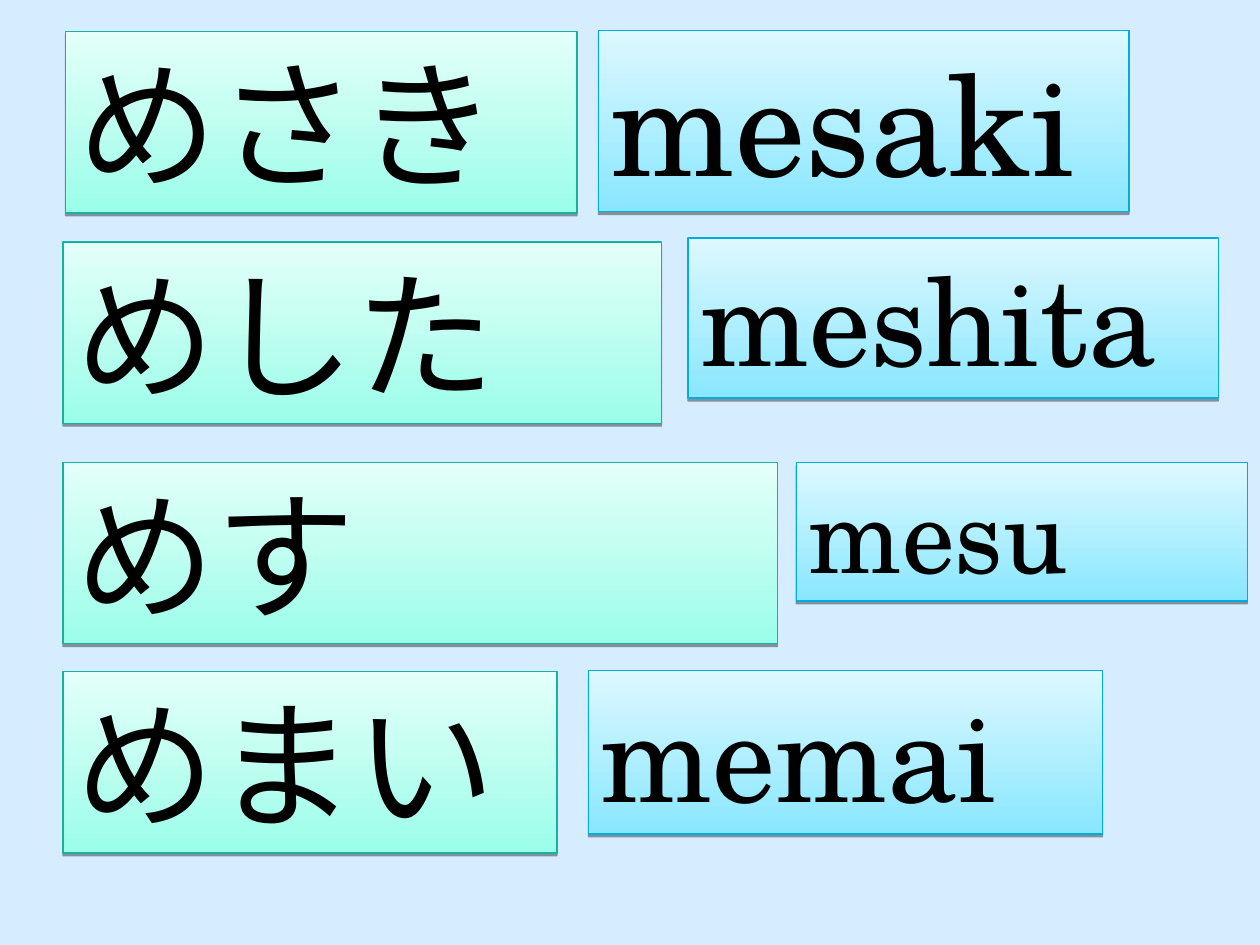
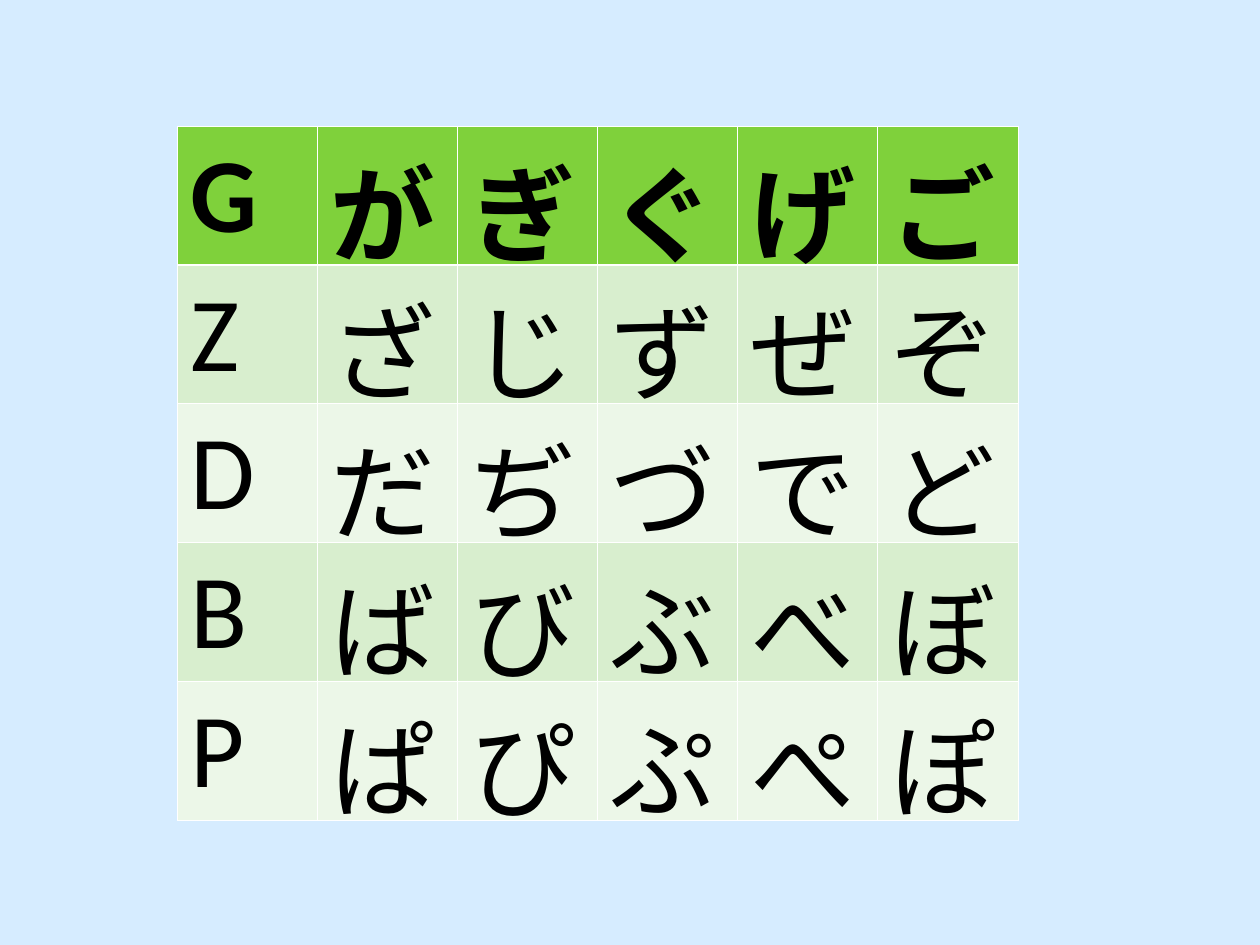
from lxml.etree import SubElement as Sub
from pptx import Presentation
from pptx.dml.color import RGBColor as Rgb
from pptx.enum.shapes import MSO_SHAPE as Shape
from pptx.enum.text import MSO_ANCHOR as Anchor, MSO_AUTO_SIZE as Auto, PP_ALIGN as Align
from pptx.oxml.ns import qn
from pptx.util import Inches, Pt

SKY, BLACK, WHITE = "D6ECFF", "000000", "FFFFFF"
KANA_FONT, ROMAN_FONT = "Calibri", "TeX Gyre Schola"
# bottom colour, top colour, outline
MINT = ("9BFEE9", "E4FFF9", "15B39E")
AQUA = ("89E7FF", "DDF8FF", "00ACDC")
HEAD, BANDS = "7FD13B", ("D8EECE", "ECF7E8")
THIN, THICK = 0.45, 1.47

# each card: text, left, top, width, height, size
KANA = [
    ("めさき", 0.52, 0.25, 4.06, 1.44, 80),
    ("めした", 0.5, 1.92, 4.75, 1.44, 80),
    ("めす", 0.5, 3.67, 5.67, 1.44, 80),
    ("めまい", 0.5, 5.33, 3.92, 1.44, 80),
]
ROMAN = [
    ("mesaki", 4.75, 0.24, 4.21, 1.44, 80),
    ("meshita", 5.46, 1.89, 4.21, 1.27, 70),
    ("mesu", 6.32, 3.67, 3.58, 1.1, 60),
    ("memai", 4.67, 5.32, 4.08, 1.3, 72),
]
SOUNDS = ["Gがぎぐげご", "Zざじずぜぞ", "Dだぢづでど", "Bばびぶべぼ", "Pぱぴぷぺぽ"]


def color(code):
    return Rgb.from_string(code)


def write(frame, text, size, face, bold=False):
    """Put one left-aligned run in the frame and return it."""
    para = frame.paragraphs[0]
    para.alignment = Align.LEFT
    run = para.add_run()
    run.text = text
    font = run.font
    font.size, font.bold, font.name = Pt(size), bold, face
    font.color.rgb = color(BLACK)
    return run


def add_shade(shape):
    """Add a hard grey shadow just below the shape."""
    shape.shadow.inherit = False
    effects = shape._element.spPr.find(qn("a:effectLst"))
    shade = Sub(effects, qn("a:outerShdw"), blurRad="0", dist=str(Pt(1.6)),
                dir="5400000", rotWithShape="0")
    tint = Sub(shade, qn("a:srgbClr"), val=BLACK)
    Sub(tint, qn("a:alpha"), val="38000")


def add_card(slide, card, tones, face):
    text, *box, size = card
    shape = slide.shapes.add_shape(Shape.RECTANGLE, *map(Inches, box))
    low, high, edge = tones
    shape.fill.gradient()
    shape.fill.gradient_angle = 90
    for stop, tone in zip(shape.fill.gradient_stops, (low, high)):
        stop.color.rgb = color(tone)
    shape.line.color.rgb = color(edge)
    shape.line.width = Pt(0.75)
    add_shade(shape)
    frame = shape.text_frame
    frame.word_wrap = True
    frame.auto_size = Auto.SHAPE_TO_FIT_TEXT
    frame.vertical_anchor = Anchor.TOP
    run = write(frame, text, size, face)
    Sub(run.font._element, qn("a:ea"), typeface=face)


def add_edges(cell, row):
    """Draw white cell borders, thick between the header and the body."""
    props = cell._tc.get_or_add_tcPr()
    heavy = {0: "B", 1: "T"}.get(row)
    for side in "LRTB":
        width = THICK if side == heavy else THIN
        line = Sub(props, qn(f"a:ln{side}"), w=str(Pt(width)))
        fill = Sub(line, qn("a:solidFill"))
        Sub(fill, qn("a:srgbClr"), val=WHITE)


def add_chart_of_kana(slide):
    rows, cols = len(SOUNDS), len(SOUNDS[0])
    box = map(Inches, (1.41, 1, 6.67, 5.51))
    table = slide.shapes.add_table(rows, cols, *box).table
    for row, line in enumerate(SOUNDS):
        tone = BANDS[(row - 1) % 2] if row else HEAD
        for col, sign in enumerate(line):
            cell = table.cell(row, col)
            add_edges(cell, row)
            cell.fill.solid()
            cell.fill.fore_color.rgb = color(tone)
            write(cell.text_frame, sign, 60, KANA_FONT, bold=row == 0)


def main():
    prs = Presentation()
    prs.slide_width, prs.slide_height = Inches(10), Inches(7.5)
    back = prs.slide_master.background.fill
    back.solid()
    back.fore_color.rgb = color(SKY)
    blank = prs.slide_layouts[6]

    words = prs.slides.add_slide(blank)
    for kana, roman in zip(KANA, ROMAN):
        add_card(words, kana, MINT, KANA_FONT)
        add_card(words, roman, AQUA, ROMAN_FONT)

    add_chart_of_kana(prs.slides.add_slide(blank))
    prs.save("out.pptx")


if __name__ == "__main__":
    main()
